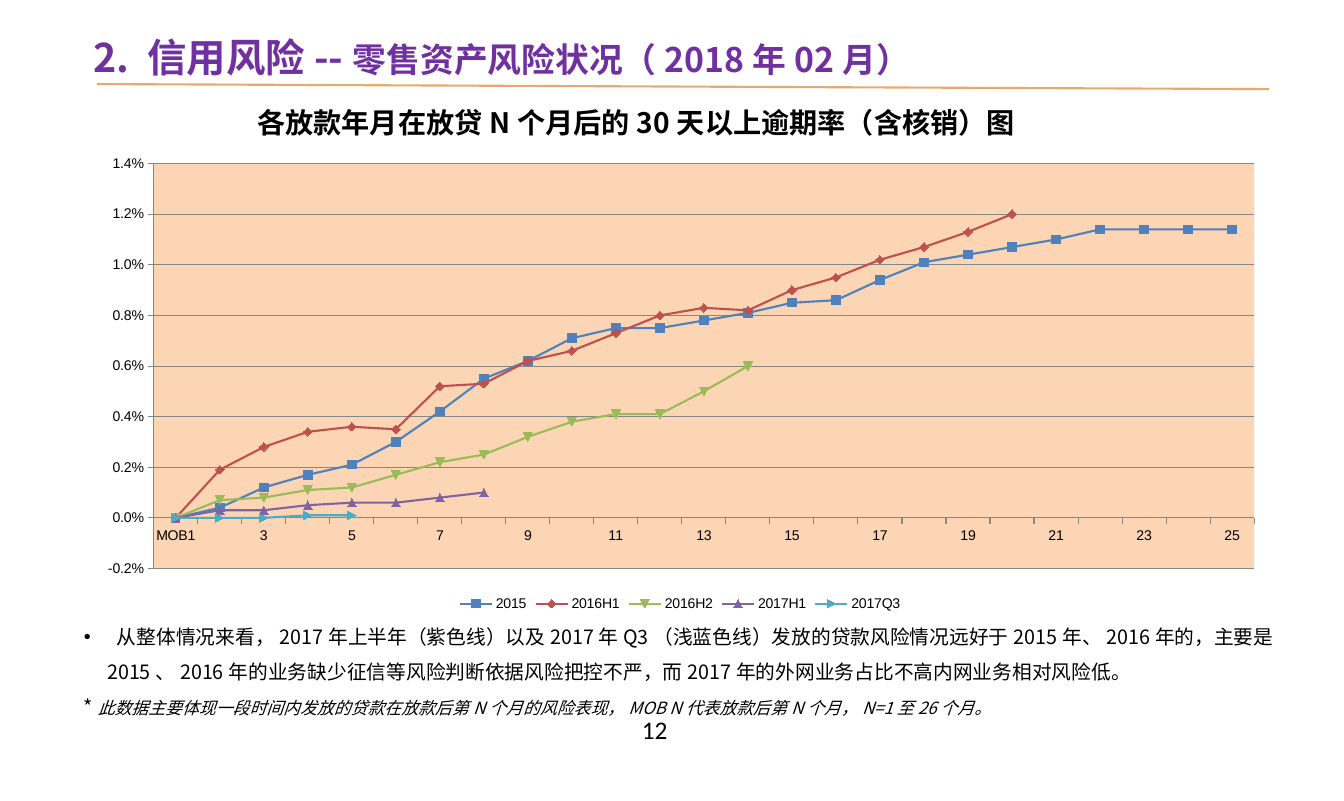
from typing import NamedTuple, Optional

from lxml.etree import SubElement
from pptx import Presentation
from pptx.chart.data import CategoryChartData
from pptx.dml.color import RGBColor
from pptx.enum.chart import XL_CHART_TYPE as ChartType
from pptx.enum.chart import XL_LEGEND_POSITION as LegendPos
from pptx.enum.chart import XL_TICK_MARK as Tick
from pptx.enum.shapes import MSO_CONNECTOR
from pptx.enum.text import MSO_ANCHOR, MSO_AUTO_SIZE, PP_ALIGN
from pptx.oxml import parse_xml
from pptx.oxml.ns import nsdecls, qn
from pptx.util import Inches, Pt

BLACK = RGBColor(0x00, 0x00, 0x00)
PURPLE = RGBColor(0x70, 0x30, 0xA0)
RULE = RGBColor(0xE8, 0xA9, 0x6D)
PEACH = "FCD5B5"
GRID = RGBColor(0x86, 0x86, 0x86)
CJK = "Noto Sans CJK SC"
MONTHS = 25


class Run(NamedTuple):
    """A piece of text with its own format."""
    text: str
    size: float
    color: RGBColor = BLACK
    bold: bool = False
    italic: bool = False
    font: str = CJK


class Vintage(NamedTuple):
    """Overdue rates, in hundredths of a percent, of one lending period."""
    name: str
    color: RGBColor
    rates: list[int]


VINTAGES = [
    Vintage("2015", RGBColor(0x4F, 0x81, 0xBD),
            [0, 4, 12, 17, 21, 30, 42, 55, 62, 71, 75, 75, 78, 81, 85, 86, 94,
             101, 104, 107, 110, 114, 114, 114, 114]),
    Vintage("2016H1", RGBColor(0xC0, 0x50, 0x4D),
            [0, 19, 28, 34, 36, 35, 52, 53, 62, 66, 73, 80, 83, 82, 90, 95,
             102, 107, 113, 120]),
    Vintage("2016H2", RGBColor(0x9B, 0xBB, 0x59),
            [0, 7, 8, 11, 12, 17, 22, 25, 32, 38, 41, 41, 50, 60]),
    Vintage("2017H1", RGBColor(0x80, 0x64, 0xA2), [0, 3, 3, 5, 6, 6, 8, 10]),
    Vintage("2017Q3", RGBColor(0x4B, 0xAC, 0xC6), [0, 0, 0, 1, 1]),
]


def add_runs(p, runs: list[Run]) -> None:
    """Append formatted runs to a paragraph."""
    for run in runs:
        r = p.add_run()
        r.text = run.text
        f = r.font
        f.size, f.bold, f.italic, f.name = Pt(run.size), run.bold, run.italic, run.font
        f.color.rgb = run.color
        SubElement(r._r.get_or_add_rPr(), qn("a:ea")).set("typeface", run.font)


def place(sp, left: float, top: float, width: float, height: float) -> None:
    """Position a shape, in inches."""
    sp.left, sp.top = Inches(left), Inches(top)
    sp.width, sp.height = Inches(width), Inches(height)


def add_text(s, box: tuple, paragraphs: list[list[Run]],
             inset: float = 0.1, spacing: Optional[float] = None):
    """Add a wrapping text box and return its text frame."""
    tf = s.shapes.add_textbox(*map(Inches, box)).text_frame
    tf.word_wrap = True
    tf.margin_left = tf.margin_right = Inches(inset)
    for i, runs in enumerate(paragraphs):
        p = tf.add_paragraph() if i else tf.paragraphs[0]
        p.line_spacing = spacing
        add_runs(p, runs)
    return tf


def set_bullet(p, indent: float) -> None:
    """Give a paragraph a hanging round bullet."""
    pPr = p._p.get_or_add_pPr()
    pPr.set("marL", str(Inches(indent)))
    pPr.set("indent", str(-Inches(indent)))
    SubElement(pPr, qn("a:buFont")).set("typeface", "Arial")
    SubElement(pPr, qn("a:buChar")).set("char", "•")


def add_title(s) -> None:
    """Place and format the title and the rule below it."""
    sp = s.shapes.title
    place(sp, 0.82, 0.28, 8.94, 0.57)
    tf = sp.text_frame
    tf.auto_size, tf.word_wrap = MSO_AUTO_SIZE.NONE, True
    tf.vertical_anchor = MSO_ANCHOR.MIDDLE
    tf.paragraphs[0].alignment = PP_ALIGN.LEFT
    add_runs(tf.paragraphs[0], [
        Run("2. 信用风险--", 28, PURPLE, bold=True),
        Run("零售资产风险状况（2018年02月）", 24, PURPLE, bold=True)])
    rule = s.shapes.add_connector(MSO_CONNECTOR.STRAIGHT, Inches(0.96),
                                  Inches(0.83), Inches(12.53), Inches(0.88))
    rule.line.color.rgb, rule.line.width = RULE, Pt(1.5)
    SubElement(rule._element.spPr, qn("a:effectLst"))


def format_plot_area(chart) -> None:
    """Fix the inner plot area and fill it."""
    area = chart._chartSpace.chart.plotArea
    for old in area.findall(qn("c:layout")):
        area.remove(old)
    sizes = {"x": 0.058, "y": 0.04, "w": 0.92, "h": 0.86}
    lengths = "".join(f'<c:{k} val="{v:.2f}"/>' for k, v in sizes.items())
    area.insert(0, parse_xml(
        f'<c:layout {nsdecls("c")}><c:manualLayout><c:layoutTarget val="inner"/>'
        '<c:xMode val="edge"/><c:yMode val="edge"/>'
        f'{lengths}</c:manualLayout></c:layout>'))
    area.append(parse_xml(
        f'<c:spPr {nsdecls("c", "a")}><a:solidFill><a:srgbClr val="{PEACH}"/>'
        '</a:solidFill></c:spPr>'))


def add_rate_chart(s) -> None:
    """Add the line chart of overdue rates by month on book."""
    data = CategoryChartData(number_format="0.0%")
    data.categories = ["MOB1"] + [str(m) if m % 2 else ""
                                  for m in range(2, MONTHS + 1)]
    for v in VINTAGES:
        gaps = [None] * (MONTHS - len(v.rates))
        data.add_series(v.name, [rate / 10000 for rate in v.rates] + gaps)
    box = map(Inches, (0.81, 1.43, 11.81, 4.65))
    chart = s.shapes.add_chart(ChartType.LINE_MARKERS, *box, data).chart
    chart.has_title = False
    chart.font.size, chart.font.name = Pt(10), "Arial"
    chart.font.color.rgb = BLACK
    chart.has_legend = True
    chart.legend.position = LegendPos.BOTTOM
    chart.legend.include_in_layout = False

    rates = chart.value_axis
    rates.minimum_scale, rates.maximum_scale = -0.002, 0.014
    rates.major_unit = 0.002
    rates.tick_labels.number_format = "0.0%"
    rates.tick_labels.number_format_is_linked = False
    rates.has_major_gridlines = True
    lines = [rates.major_gridlines.format.line]
    for axis in (rates, chart.category_axis):
        axis.major_tick_mark = Tick.OUTSIDE
        lines.append(axis.format.line)
    for line in lines:
        line.color.rgb, line.width = GRID, Pt(0.75)

    plot = chart.plots[0]
    plot.vary_by_categories = False
    for series, v in zip(plot.series, VINTAGES):
        series.smooth = False
        series.format.line.color.rgb = v.color
        series.format.line.width = Pt(1.5)
        series.marker.size = 6
        series.marker.format.fill.solid()
        series.marker.format.fill.fore_color.rgb = v.color
        series.marker.format.line.color.rgb = v.color
    format_plot_area(chart)


prs = Presentation()
prs.slide_width, prs.slide_height = Inches(13.27), Inches(7.91)
s = prs.slides.add_slide(prs.slide_layouts[5])
add_title(s)
add_text(s, (2.49, 0.99, 8.44, 0.44),
         [[Run("各放款年月在放贷N个月后的30天以上逾期率（含核销）图", 20, bold=True)]],
         inset=0.05)
add_rate_chart(s)
notes = add_text(s, (0.73, 6, 12.36, 1.46), [
    [Run("\u2002从整体情况来看，2017年上半年（紫色线）以及2017年Q3（浅蓝色线）"
         "发放的贷款风险情况远好于2015年、2016年的，主要是2015、2016年的业务"
         "缺少征信等风险判断依据风险把控不严，而2017年的外网业务占比不高"
         "内网业务相对风险低。", 14)],
    [Run("*", 14),
     Run("此数据主要体现一段时间内发放的贷款在放款后第N个月的风险表现，"
         "MOB N代表放款后第N个月，N=1至26个月。", 12, italic=True)],
], spacing=1.5)
set_bullet(notes.paragraphs[0], 0.23)
add_text(s, (6.24, 7, 0.86, 0.4), [[Run("12", 18, font="Calibri")]])
prs.save("out.pptx")
